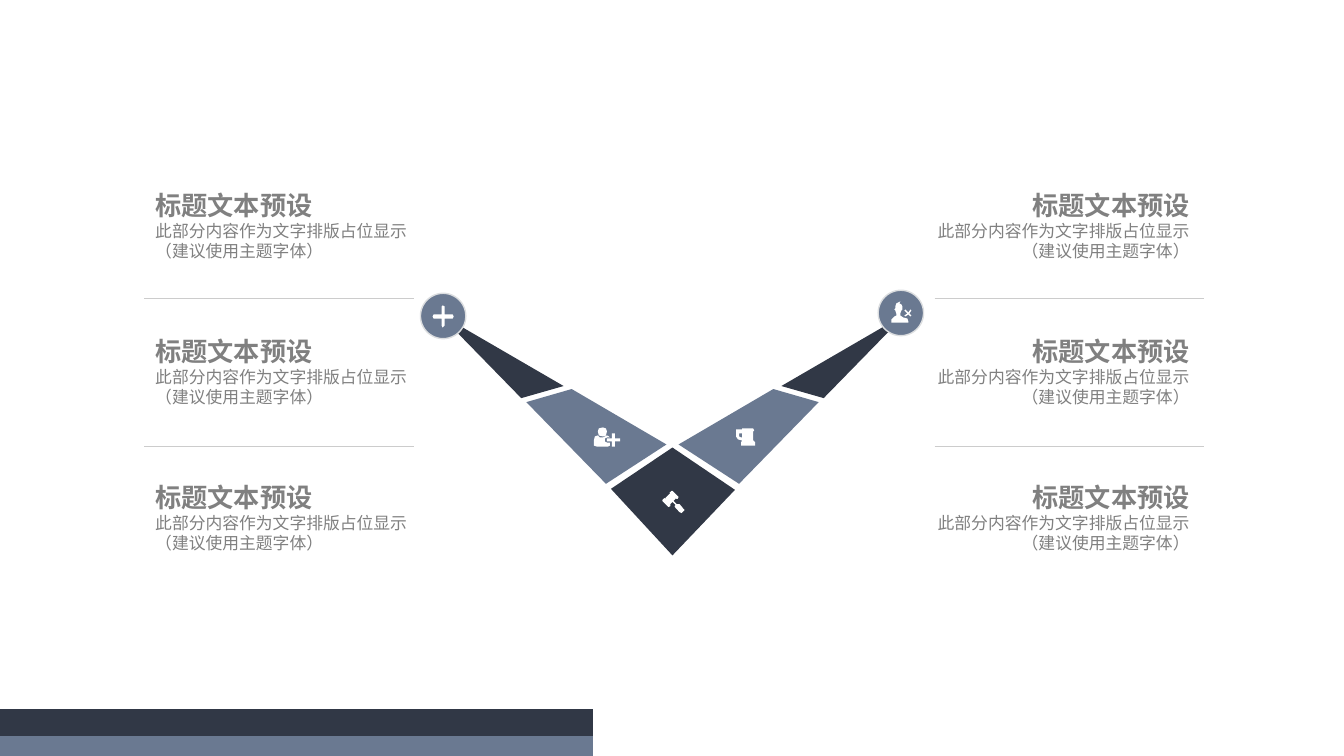
from lxml import etree
from pptx import Presentation
from pptx.dml.color import RGBColor
from pptx.enum.shapes import MSO_CONNECTOR as Connector, MSO_SHAPE as Shape
from pptx.enum.text import MSO_ANCHOR as Anchor, PP_ALIGN as Align
from pptx.oxml.ns import qn
from pptx.util import Emu, Pt

PX = 9144  # EMU in one px, 100 px to the inch
WIDTH, HEIGHT = 1333, 750
MIRROR = 1334  # sum of the x values of two mirrored points

NAVY = RGBColor(0x31, 0x38, 0x46)
SLATE = RGBColor(0x6A, 0x79, 0x91)
GRAY = RGBColor(0x80, 0x80, 0x80)
RULE = RGBColor(0xCC, 0xCC, 0xCC)
RING = RGBColor(0xDC, 0xDE, 0xE0)
WHITE = RGBColor(0xFF, 0xFF, 0xFF)

TITLE = "标题文本预设"
BODY = ("此部分内容作为文字排版占位显示", "（建议使用主题字体）")

# Left arm of the V; the right arm is its mirror image
OUTER_BLADE = [(517, 395), (559, 383), (435, 311)]
INNER_BLADE = [(567, 386), (522, 399), (601, 480), (661, 441)]
TIP = [(667, 444), (606, 485), (667, 551), (729, 486)]

# Icons, each a list of closed outlines
PLUS = [[(450, 314), (449, 316), (441, 316), (441, 323), (439, 325), (438, 323),
         (438, 316), (430, 316), (429, 314), (430, 312), (438, 312), (438, 304),
         (439, 303), (441, 304), (441, 312), (449, 312)]]
REMOVE_USER = [
    [(901, 310), (898, 307), (897, 308), (900, 311), (897, 313), (898, 314),
     (901, 312), (903, 314), (904, 313), (902, 311), (904, 308), (903, 307)],
    [(901, 319), (900, 316), (896, 315), (893, 313), (893, 311), (894, 308),
     (895, 307), (895, 304), (894, 302), (892, 301), (893, 299), (889, 301),
     (888, 304), (888, 306), (887, 307), (888, 308), (889, 311), (889, 313),
     (887, 314), (884, 317), (884, 320), (901, 320)]]
ADD_USER = [
    [(615, 435), (615, 438), (610, 438), (610, 443), (607, 443), (607, 438),
     (602, 438), (602, 435), (607, 435), (607, 430), (610, 430), (610, 435)],
    [(593, 428), (594, 425), (598, 424), (601, 425), (602, 428), (601, 432),
     (598, 433), (594, 432)],
    [(602, 439), (605, 439), (605, 442), (603, 443), (592, 443), (589, 442),
     (589, 437), (590, 433), (593, 432), (595, 434), (598, 434), (602, 432),
     (604, 433), (605, 434), (602, 434), (600, 435), (600, 438)]]
MUG = [
    [(736, 430), (733, 430), (733, 433), (735, 434), (736, 434)],
    [(749, 442), (735, 442), (735, 439), (736, 437), (732, 436), (730, 433),
     (730, 426), (736, 426), (736, 425), (747, 425), (748, 427), (747, 428),
     (747, 437), (749, 439)]]
GAVEL = [[(678, 507), (676, 509), (674, 508), (670, 504), (669, 502), (670, 501),
          (667, 498), (665, 500), (665, 502), (663, 503), (662, 502), (657, 497),
          (657, 496), (659, 494), (660, 495), (660, 494), (664, 490), (665, 490),
          (664, 489), (665, 488), (666, 487), (667, 487), (672, 492), (673, 493),
          (672, 495), (671, 495), (670, 494), (670, 495), (668, 497), (671, 500),
          (674, 500), (678, 505), (679, 506)]]


def mirrored(points):
    return [(MIRROR - x, y) for x, y in points]


class Canvas:
    font = "Noto Sans CJK SC"

    def __init__(self, slide):
        self.slide = slide

    @staticmethod
    def emu(*lengths):
        return [Emu(length * PX) for length in lengths]

    def outline(self, contours, color):
        first, *others = contours
        builder = self.slide.shapes.build_freeform(*first[0], scale=PX)
        builder.add_line_segments(first[1:], close=True)
        for contour in others:
            builder.move_to(*contour[0])
            builder.add_line_segments(contour[1:], close=True)
        shape = builder.convert_to_shape()
        shape.shadow.inherit = False
        shape.fill.solid()
        shape.fill.fore_color.rgb = color
        shape.line.fill.background()

    def badge(self, left, top, size):
        shape = self.slide.shapes.add_shape(
            Shape.OVAL, *self.emu(left, top, size, size))
        shape.shadow.inherit = False
        shape.fill.solid()
        shape.fill.fore_color.rgb = SLATE
        shape.line.color.rgb = RING
        shape.line.width = Pt(1)

    def split_bar(self, left, top, width, height, colors, split):
        shape = self.slide.shapes.add_shape(
            Shape.RECTANGLE, *self.emu(left, top, width, height))
        shape.shadow.inherit = False
        shape.line.fill.background()
        shape.fill.gradient()
        shape.fill.gradient_angle = 270
        for stop, color in zip(shape.fill.gradient_stops, colors):
            stop.color.rgb = color
            stop.position = split

    def rule(self, left, right, y):
        line = self.slide.shapes.add_connector(
            Connector.STRAIGHT, *self.emu(left, y, right, y))
        line.line.color.rgb = RULE
        line.line.width = Pt(0.5)
        etree.SubElement(line._element.spPr, qn("a:effectLst"))

    def text(self, left, top, width, height, lines, size, align,
             bold=False, wrap=True, anchor=Anchor.TOP):
        box = self.slide.shapes.add_textbox(*self.emu(left, top, width, height))
        frame = box.text_frame
        frame.word_wrap = wrap
        frame.vertical_anchor = anchor
        frame.margin_left = frame.margin_right = 0
        frame.margin_top = frame.margin_bottom = 0
        paragraph = frame.paragraphs[0]
        paragraph.alignment = align
        for number, line in enumerate(lines):
            if number:
                paragraph.add_line_break()
            run = paragraph.add_run()
            run.text = line
            run.font.size = Pt(size)
            run.font.bold = bold
            run.font.color.rgb = GRAY
            run.font.name = self.font
            east_asian = etree.SubElement(run.font._element, qn("a:ea"))
            east_asian.set("typeface", self.font)


def main():
    presentation = Presentation()
    presentation.slide_width, presentation.slide_height = Canvas.emu(WIDTH, HEIGHT)
    slide = presentation.slides.add_slide(presentation.slide_layouts[6])
    canvas = Canvas(slide)

    # Footer bar
    canvas.split_bar(0, 703, 588, 47, (NAVY, SLATE), 0.58)

    # V-shaped figure
    for blade, color in ((OUTER_BLADE, NAVY), (INNER_BLADE, SLATE)):
        canvas.outline([blade], color)
        canvas.outline([mirrored(blade)], color)
    canvas.outline([TIP], NAVY)

    # Round badges and icons
    canvas.badge(417, 291, 45)
    canvas.badge(871, 288, 45)
    for icon in (PLUS, REMOVE_USER, ADD_USER, MUG, GAVEL):
        canvas.outline(icon, WHITE)

    # Text columns with their dividing rules
    for text_left, rule_left, rule_right, align in (
            (894, 927, 1194, Align.RIGHT), (154, 143, 411, Align.LEFT)):
        for row in range(3):
            top = 185 + 145 * row
            canvas.text(text_left, top, 286, 34, [TITLE], 18.7, align,
                        bold=True, wrap=False, anchor=Anchor.BOTTOM)
            canvas.text(text_left, top + 34, 286, 56, BODY, 12, align)
        for y in (296, 443):
            canvas.rule(rule_left, rule_right, y)

    presentation.save("out.pptx")


if __name__ == "__main__":
    main()
